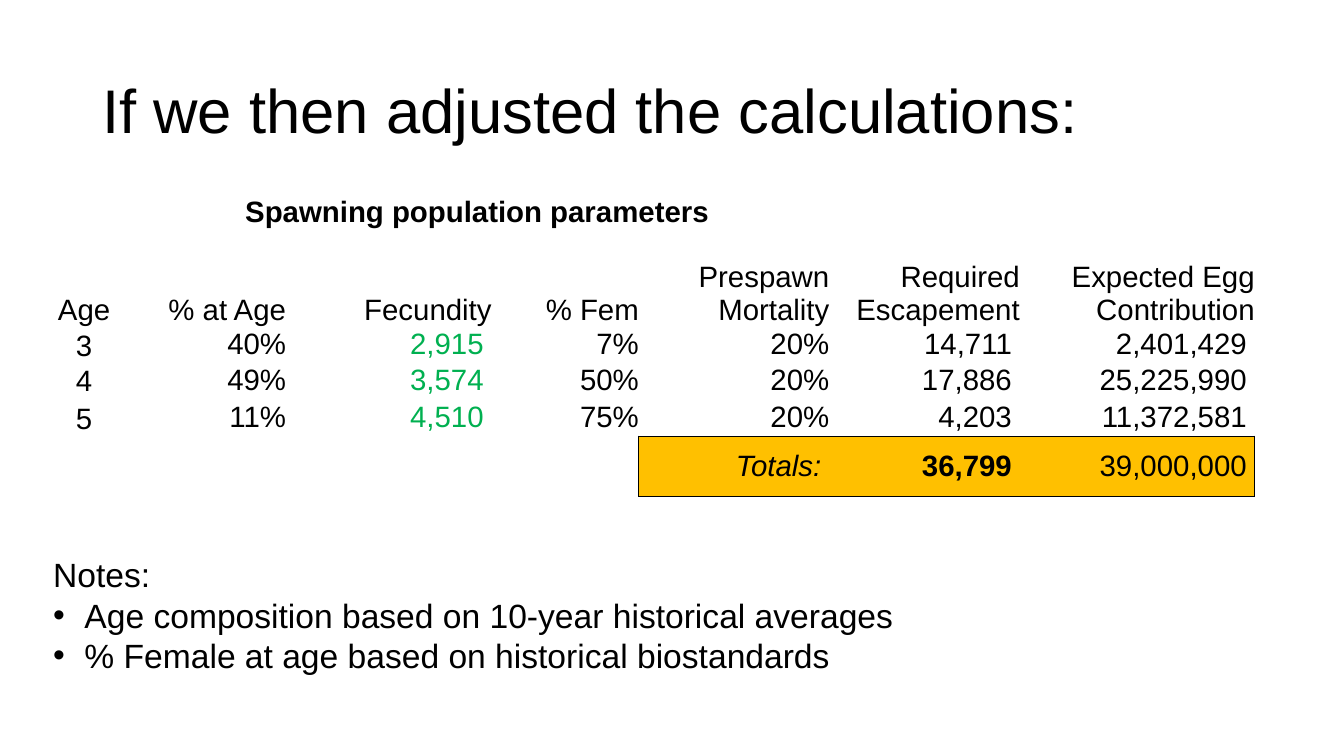
from lxml.etree import SubElement
from pptx import Presentation
from pptx.dml.color import RGBColor
from pptx.enum.text import MSO_ANCHOR, PP_ALIGN
from pptx.oxml.ns import qn
from pptx.util import Cm, Pt

BLACK, GREEN, AMBER = "000000", "00B050", "FFC000"
COLUMN_WIDTHS = [2.06, 4.06, 5.18, 3.71, 4.8, 4.8, 5.92]
ROW_HEIGHTS = [0.89, 2.29, 0.89, 0.89, 0.97, 1.52]
ROWS = [
    ["", "Spawning population parameters", "", "", "", "", ""],
    ["Age", "% at Age", "Fecundity", "% Fem", "Prespawn Mortality",
     "Required Escapement", "Expected Egg Contribution"],
    ["3", "40%", "2,915", "7%", "20%", "14,711", "2,401,429"],
    ["4", "49%", "3,574", "50%", "20%", "17,886", "25,225,990"],
    ["5", "11%", "4,510", "75%", "20%", "4,203", "11,372,581"],
    ["", "", "", "", "Totals:", "36,799", "39,000,000"],
]
TITLE_ROW, HEADER_ROW, TOTALS_ROW = 0, 1, 5
AGE, FECUNDITY, MORTALITY, ESCAPEMENT, EGGS = 0, 2, 4, 5, 6


def color(hex_string):
    """Turn a hex string into a colour."""
    return RGBColor.from_string(hex_string)


def format_runs(paragraph, size, hex_color=BLACK, bold=False, italic=False):
    """Give every run of a paragraph the slide's font."""
    for run in paragraph.runs:
        run.font.name = "Arial"
        run.font.size = Pt(size)
        run.font.bold = bold
        run.font.italic = italic
        run.font.color.rgb = color(hex_color)


def add_text(slide, left, top, width, height, lines, size):
    """Add a wrapping text box with one paragraph per line."""
    shape = slide.shapes.add_textbox(Cm(left), Cm(top), Cm(width), Cm(height))
    text_frame = shape.text_frame
    text_frame.word_wrap = True
    text_frame.text = "\n".join(lines)
    for paragraph in text_frame.paragraphs:
        format_runs(paragraph, size)
    return text_frame


def add_title(slide, left, top, width, height):
    """Place the slide title."""
    text_frame = add_text(slide, left, top, width, height,
                          ["If we then adjusted the calculations:"], 44)
    text_frame.vertical_anchor = MSO_ANCHOR.MIDDLE
    text_frame.paragraphs[0].line_spacing = 0.9


def set_borders(cell, drawn_sides):
    """Draw the named sides of a cell and clear the others."""
    properties = cell._tc.get_or_add_tcPr()
    for side in "LRTB":
        line = SubElement(properties, qn(f"a:ln{side}"), w=str(Pt(1)))
        if side in drawn_sides:
            fill = SubElement(line, qn("a:solidFill"))
            SubElement(fill, qn("a:srgbClr"), val=BLACK)
        else:
            SubElement(line, qn("a:noFill"))


def totals_sides(row, column):
    """Name the cell sides that belong to the frame of the totals."""
    if row == TOTALS_ROW - 1:
        return "B" if column >= MORTALITY else ""
    if row == TOTALS_ROW:
        edges = {MORTALITY - 1: "R", MORTALITY: "LTB", ESCAPEMENT: "TB", EGGS: "TBR"}
        return edges.get(column, "")
    return ""


def format_cell(cell, row, column):
    """Style one table cell by its row and column."""
    set_borders(cell, totals_sides(row, column))
    is_total = row == TOTALS_ROW and column >= MORTALITY
    if is_total:
        cell.fill.solid()
        cell.fill.fore_color.rgb = color(AMBER)
    else:
        cell.fill.background()
    is_title = row == TITLE_ROW
    side_margin, end_margin = (0.33, 0.18) if is_title else (0, 0)
    cell.margin_left = cell.margin_right = Cm(side_margin)
    cell.margin_top = cell.margin_bottom = Cm(end_margin)
    is_value = row > HEADER_ROW and column in (FECUNDITY, ESCAPEMENT, EGGS)
    if is_value or is_total:
        cell.margin_right = Cm(0.2)
    at_bottom = row <= HEADER_ROW or column == AGE
    cell.vertical_anchor = MSO_ANCHOR.BOTTOM if at_bottom else MSO_ANCHOR.MIDDLE
    paragraph = cell.text_frame.paragraphs[0]
    centred = is_title or column == AGE
    paragraph.alignment = PP_ALIGN.CENTER if centred else PP_ALIGN.RIGHT
    format_runs(paragraph, 21,
                GREEN if is_value and column == FECUNDITY else BLACK,
                bold=is_title or (is_total and column == ESCAPEMENT),
                italic=is_total and column == MORTALITY)


def add_population_table(slide, left, top):
    """Place the table of spawning population parameters."""
    frame = slide.shapes.add_table(
        len(ROWS), len(COLUMN_WIDTHS), Cm(left), Cm(top),
        Cm(sum(COLUMN_WIDTHS)), Cm(sum(ROW_HEIGHTS)))
    table = frame.table
    table.first_row = table.horz_banding = False
    for column, width in zip(table.columns, COLUMN_WIDTHS):
        column.width = Cm(width)
    for row, height in zip(table.rows, ROW_HEIGHTS):
        row.height = Cm(height)
    table.cell(TITLE_ROW, 1).merge(table.cell(TITLE_ROW, MORTALITY))
    for row, texts in enumerate(ROWS):
        for column, text in enumerate(texts):
            cell = table.cell(row, column)
            cell.text_frame.text = text
            format_cell(cell, row, column)


def add_notes(slide, left, top, width, height):
    """Place the notes heading with its bullets."""
    text_frame = add_text(slide, left, top, width, height, [
        "Notes:",
        "Age composition based on 10-year historical averages",
        "% Female at age based on historical biostandards",
    ], 24)
    for paragraph in text_frame.paragraphs[1:]:
        properties = paragraph._p.get_or_add_pPr()
        properties.set("marL", str(Cm(0.79)))
        properties.set("indent", str(-Cm(0.79)))
        SubElement(properties, qn("a:buFont"), typeface="Arial")
        SubElement(properties, qn("a:buChar"), char="•")


def main():
    """Build the slide and save it."""
    presentation = Presentation()
    presentation.slide_width = Cm(33.87)
    presentation.slide_height = Cm(19.05)
    slide = presentation.slides.add_slide(presentation.slide_layouts[6])
    add_title(slide, 2.33, 1.01, 29.21, 3.68)
    add_population_table(slide, 1.09, 4.7)
    add_notes(slide, 1.09, 13.84, 29.01, 3.33)
    presentation.save("out.pptx")


if __name__ == "__main__":
    main()
